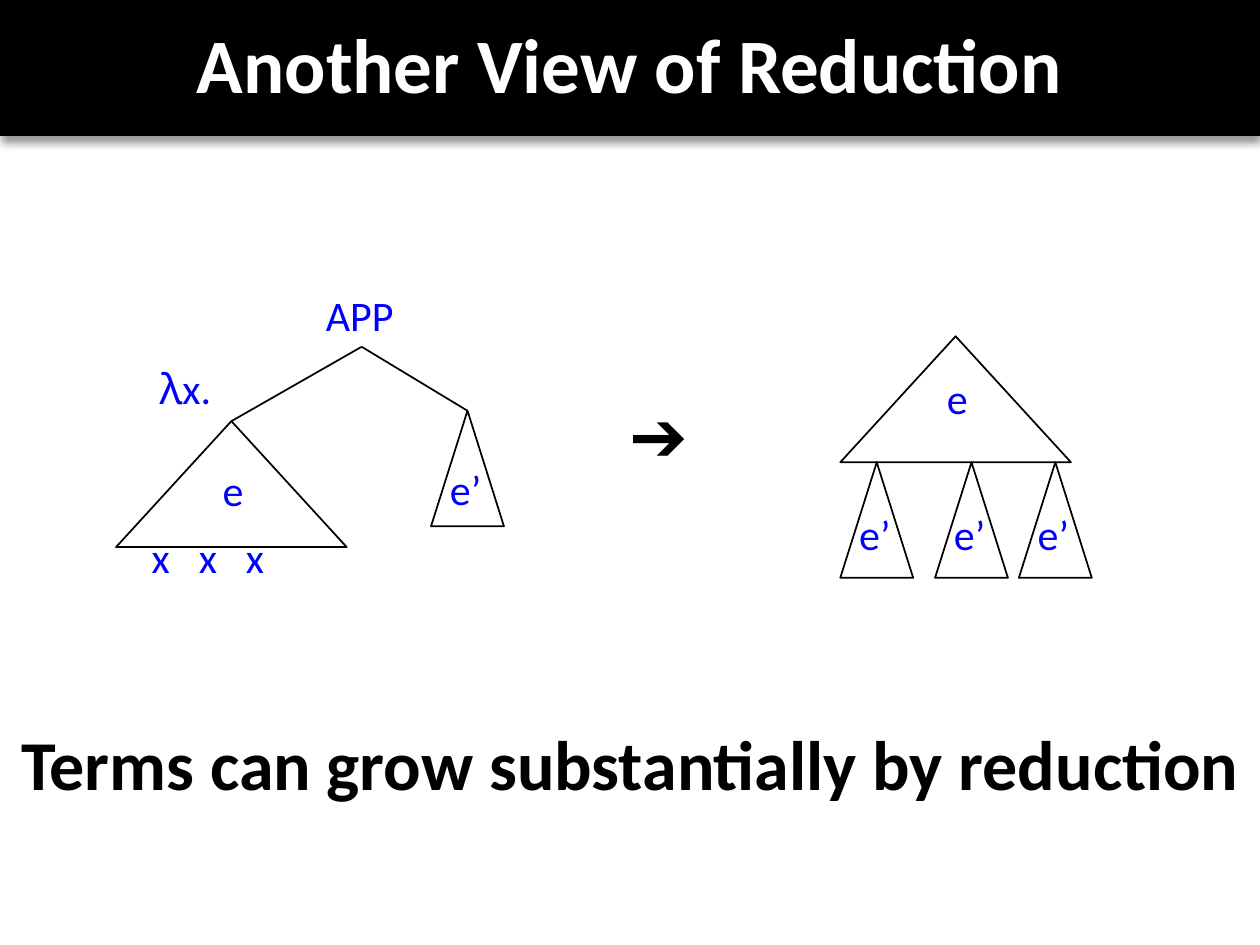
from lxml import etree
from pptx import Presentation
from pptx.dml import color
from pptx.enum import shapes, text
from pptx.oxml import ns
from pptx.util import Cm, Pt

BLACK, WHITE, BLUE = "000000", "FFFFFF", "0000FF"
BODY_WIDTH, BODY_HEIGHT = 4.65, 2.54
ARGUMENT_WIDTH, ARGUMENT_HEIGHT = 1.47, 2.33
LABEL_HEIGHT = 1.27


def rgb(value):
    """Return the colour for a hex string."""
    return color.RGBColor.from_string(value)


def add_effects(shape):
    """Append an empty effect list to a shape and return it."""
    return etree.SubElement(shape._element.spPr, ns.qn("a:effectLst"))


def add_text(page, box, wording, size=24, colour=BLUE, bold=False, centred=False):
    """Place one line of text in a box and return its paragraph."""
    area = page.shapes.add_textbox(*map(Cm, box))
    frame = area.text_frame
    frame.text = wording
    frame.word_wrap = centred
    para = frame.paragraphs[0]
    para.alignment = text.PP_ALIGN.CENTER if centred else text.PP_ALIGN.LEFT
    span = para.runs[0]
    span.font.name = "Calibri"
    span.font.size = Pt(size)
    span.font.bold = bold
    span.font.color.rgb = rgb(colour)
    return para


def add_triangle(page, left, top, width, height):
    """Draw an outlined triangle."""
    triangle = page.shapes.add_shape(
        shapes.MSO_SHAPE.ISOSCELES_TRIANGLE, *map(Cm, (left, top, width, height)))
    triangle.shadow.inherit = False
    triangle.fill.background()
    triangle.line.color.rgb = rgb(BLACK)
    triangle.line.width = Pt(1)


def add_branch(page, start, end):
    """Draw a straight branch between two points."""
    branch = page.shapes.add_connector(
        shapes.MSO_CONNECTOR.STRAIGHT, *map(Cm, (*start, *end)))
    branch.line.color.rgb = rgb(BLACK)
    branch.line.width = Pt(1)
    add_effects(branch)


def add_body(page, left, top, drop):
    """Draw the term e as a wide triangle with its label."""
    add_triangle(page, left, top, BODY_WIDTH, BODY_HEIGHT)
    add_text(page, (left + 1.9, top + drop, 0.97, LABEL_HEIGHT), "e")


def add_argument(page, left, top, drop):
    """Draw the term e’ as a narrow triangle with its label."""
    add_triangle(page, left, top, ARGUMENT_WIDTH, ARGUMENT_HEIGHT)
    add_text(page, (left + 0.13, top + drop, 1.3, LABEL_HEIGHT), "e’")


def add_header(page, left, top, width, height):
    """Draw the shadowed title band."""
    band = page.shapes.add_shape(
        shapes.MSO_SHAPE.RECTANGLE, *map(Cm, (left, top, width, height)))
    band.fill.solid()
    band.fill.fore_color.rgb = rgb(BLACK)
    band.line.fill.background()
    shadow = etree.SubElement(
        add_effects(band), ns.qn("a:outerShdw"), blurRad=str(Pt(4)),
        dist=str(Pt(4)), dir="5400000", rotWithShape="0")
    tint = etree.SubElement(shadow, ns.qn("a:srgbClr"), val=BLACK)
    etree.SubElement(tint, ns.qn("a:alpha"), val="40000")
    add_text(page, (left + 1.27, top + 0.2, width - 2.54, 3.18),
             "Another View of Reduction", 44, WHITE, True, True)


def add_application(page, left, top):
    """Draw the application tree before reduction."""
    root = (left + 4.95, top + 1.27)
    body_top, argument_left, argument_top = top + 2.77, left + 6.35, top + 2.56
    add_text(page, (left + 3.98, top, 1.96, LABEL_HEIGHT), "APP")
    binder = add_text(page, (left + 0.63, top + 1.47, 1.7, LABEL_HEIGHT), "λ")
    binder.runs[0].font.name = "Comic Neue"
    variable = binder.add_run()
    variable.text = "x."
    variable.font.name = "Calibri"
    variable.font.size = Pt(24)
    variable.font.color.rgb = rgb(BLUE)
    add_branch(page, root, (left + BODY_WIDTH / 2, body_top))
    add_branch(page, root, (argument_left + ARGUMENT_WIDTH / 2, argument_top))
    add_body(page, left, body_top, 0.74)
    add_argument(page, argument_left, argument_top, 0.94)
    for index in range(3):
        add_text(page, (left + 0.47 + 0.95 * index, top + 4.87, 0.94, LABEL_HEIGHT), "x")


def add_reduct(page, left, top):
    """Draw the term after reduction, with e’ in place of each x."""
    add_body(page, left, top, 0.61)
    for offset in (0, 1.91, 3.6):
        add_argument(page, left + offset, top + BODY_HEIGHT, 0.81)


def main():
    """Build the slide and save the deck."""
    deck = Presentation()
    deck.slide_width, deck.slide_height = Cm(25.4), Cm(19.05)
    page = deck.slides.add_slide(deck.slide_layouts[6])
    add_header(page, 0, 0, 25.4, 2.74)
    add_application(page, 2.34, 5.72)
    add_text(page, (12.45, 7.77, 2.36, 1.96), "➔", 40, BLACK)
    add_reduct(page, 16.94, 6.78)
    add_text(page, (0, 14.4, 25.4, 1.96),
             "Terms can grow substantially by reduction", 40, BLACK, True, True)
    deck.save("out.pptx")


if __name__ == "__main__":
    main()
